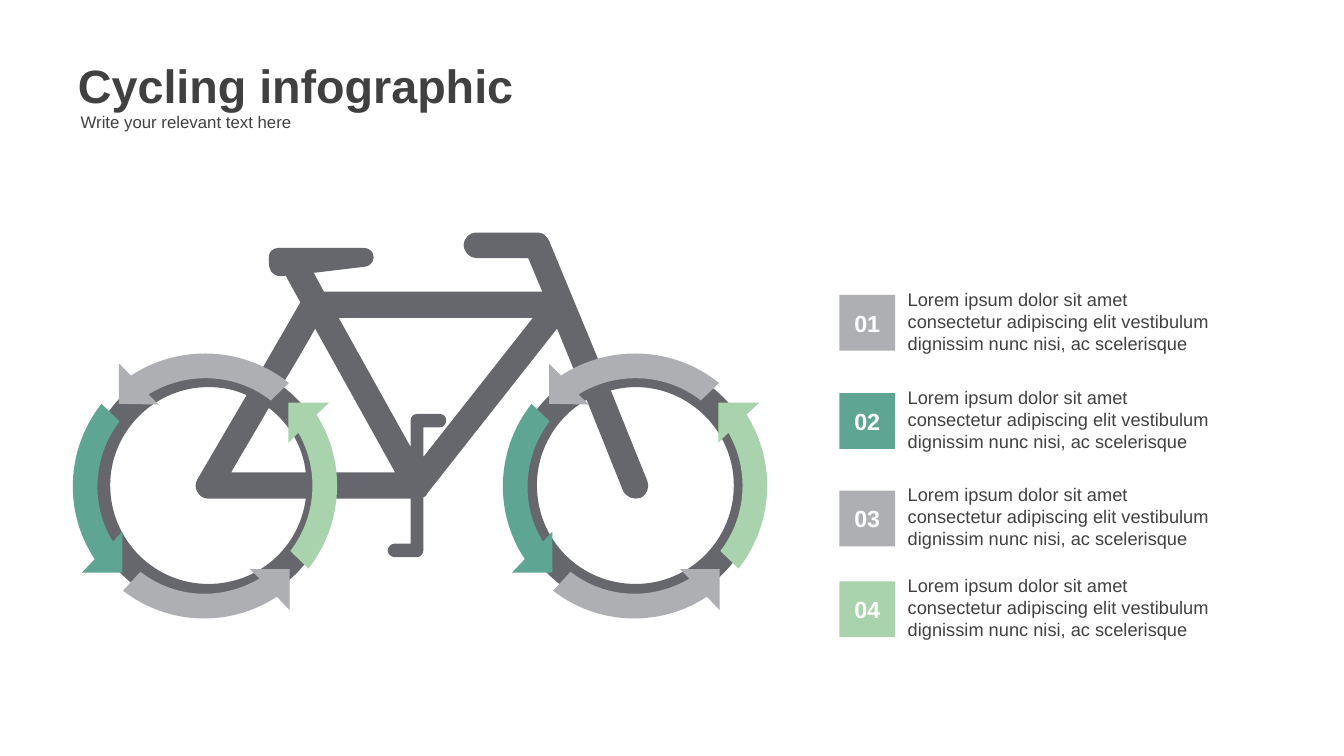
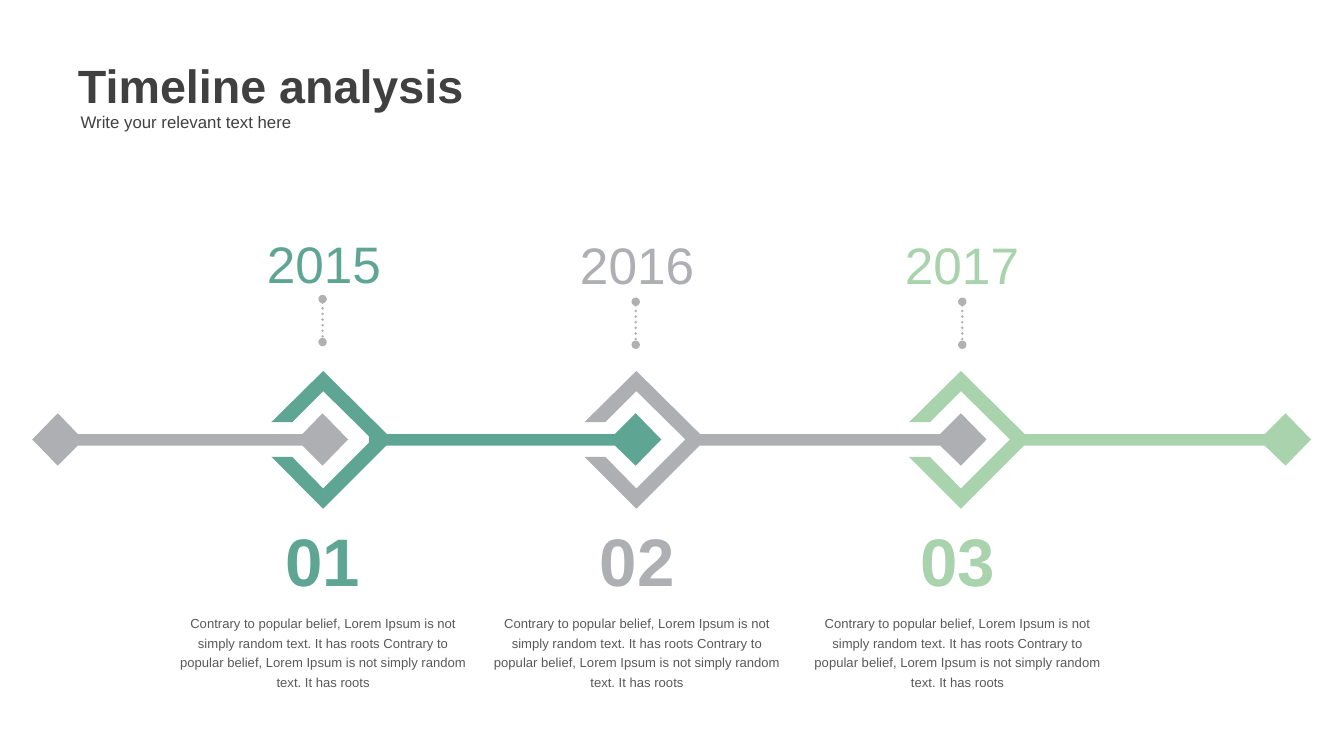
from dataclasses import dataclass

from lxml import etree
from pptx import Presentation
from pptx.dml.color import RGBColor
from pptx.enum.dml import MSO_LINE
from pptx.enum.shapes import MSO_CONNECTOR, MSO_SHAPE
from pptx.enum.text import MSO_ANCHOR, MSO_AUTO_SIZE, PP_ALIGN
from pptx.oxml.ns import qn
from pptx.util import Pt

PX = 9144  # EMU in one px; 100 px make an inch


@dataclass(frozen=True)
class Theme:
    font: str = "Arial"
    ink: str = "404040"
    soft: str = "595959"
    white: str = "FFFFFF"
    frame: str = "66676C"
    gray: str = "AEAFB2"
    teal: str = "5FA593"
    mint: str = "A8D3AC"
    dots: str = "3C3C3C"
    title: float = 50
    subtitle: float = 18
    item: float = 19.5
    badge: float = 25
    number: float = 72
    year: float = 55
    note: float = 14


T = Theme()


def write(sp, text, size, color, bold=False, align=PP_ALIGN.LEFT,
          anchor=MSO_ANCHOR.TOP, margins=(10, 5)):
    """Fill a shape with one paragraph; margins are horizontal and vertical px."""
    tf = sp.text_frame
    tf.text = text
    tf.word_wrap = True
    tf.auto_size = MSO_AUTO_SIZE.NONE
    tf.vertical_anchor = anchor
    tf.margin_left = tf.margin_right = margins[0] * PX
    tf.margin_top = tf.margin_bottom = margins[1] * PX
    p = tf.paragraphs[0]
    p.alignment = align
    p.space_before = Pt(0)
    p.font.name, p.font.size, p.font.bold = T.font, Pt(size), bold
    p.font.color.rgb = RGBColor.from_string(color)
    return p


def draw_outline(s, color, contours, dx=0):
    """Draw closed contours: a pair is a corner, six numbers a Bezier curve."""
    fb = None
    for contour in contours:
        pts = [((step[i] + dx) * PX, step[i + 1] * PX)
               for step in contour for i in range(0, len(step), 2)]
        if fb is None:
            fb = s.shapes.build_freeform(*pts[0], scale=1.0)
        else:
            fb.move_to(*pts[0])
        fb.add_line_segments(pts[1:], close=False)
    sp = fb.convert_to_shape()
    sp.shadow.inherit = False
    sp.fill.solid()
    sp.fill.fore_color.rgb = RGBColor.from_string(color)
    sp.line.fill.background()

    # Join the three points of each curve into one Bezier segment
    segments = iter(list(next(sp._element.iter(qn("a:path")))))
    for contour in contours:
        last = next(segments)
        for step in contour[1:]:
            parts = [next(segments) for _ in range(len(step) // 2)]
            last = parts[0]
            if len(parts) == 3:
                last = etree.Element(qn("a:cubicBezTo"))
                parts[0].addprevious(last)
                for part in parts:
                    last.append(part[0])
                    part.getparent().remove(part)
        last.addnext(etree.Element(qn("a:close")))


prs = Presentation()
prs.slide_width, prs.slide_height = 2000 * PX, 1125 * PX

slides = []
for title, title_width in [("Cycling infographic", 821), ("Timeline analysis", 725)]:
    s = prs.slides.add_slide(prs.slide_layouts[0])
    heading, subtitle = s.placeholders
    for sp, box in [(heading, (106, 79, title_width, 94)), (subtitle, (110, 161, 904, 40))]:
        sp.left, sp.top, sp.width, sp.height = [v * PX for v in box]
    write(heading, title, T.title, T.ink, bold=True, align=PP_ALIGN.JUSTIFY)
    write(subtitle, "Write your relevant text here", T.subtitle, T.ink)
    slides.append(s)
cycling, timeline = slides

# Cycling infographic: the bicycle
silhouette = [
    (946, 537), (927, 537, 910, 540, 894, 544), (817, 358),
    (813, 350, 807, 346, 799, 346), (708, 346), (699, 346, 690, 355, 690, 364),
    (690, 375, 699, 384, 708, 384), (786, 384), (807, 434), (482, 434), (467, 406),
    (542, 397), (550, 397, 556, 390, 556, 383), (556, 375, 550, 369, 542, 369),
    (414, 369), (406, 369, 400, 375, 400, 383), (400, 390, 398, 413, 421, 411),
    (425, 410), (447, 450), (387, 554), (363, 543, 338, 537, 310, 537),
    (208, 537, 126, 620, 126, 722), (126, 824, 208, 908, 310, 908),
    (406, 908, 484, 835, 494, 742), (611, 742), (611, 809), (587, 809),
    (582, 809, 577, 814, 577, 819), (577, 824, 582, 829, 587, 829), (621, 829),
    (626, 829, 630, 824, 630, 819), (630, 740), (634, 738), (636, 734), (829, 489),
    (858, 560), (799, 591, 760, 652, 760, 722), (760, 824, 844, 908, 946, 908),
    (1047, 908, 1131, 824, 1131, 722), (1131, 620, 1047, 537, 946, 537),
]
frame_gap = [(469, 489), (588, 703), (494, 703), (489, 650, 460, 604, 419, 574),
             (440, 540, 458, 509, 469, 489)]
stay_gap = [(455, 703), (344, 703), (354, 685, 377, 647, 400, 607),
            (430, 630, 451, 664, 455, 703)]
rear_gap = [(310, 869), (230, 869, 164, 804, 164, 722), (164, 642, 230, 576, 310, 576),
            (330, 576, 350, 580, 367, 588), (294, 713), (290, 719, 290, 727, 294, 732),
            (297, 739, 303, 742, 310, 742), (455, 742), (446, 814, 385, 869, 310, 869)]
main_gap = [(630, 680), (630, 636), (654, 636), (660, 636, 664, 631, 664, 626),
            (664, 620, 660, 616, 654, 616), (621, 616), (615, 616, 611, 620, 611, 626),
            (611, 665), (504, 473), (793, 473)]
front_gap = [(946, 869), (864, 869, 799, 804, 799, 722), (799, 668, 829, 620, 873, 595),
             (927, 730), (932, 740, 943, 744, 953, 741), (963, 736, 967, 726, 963, 715),
             (909, 581), (921, 578, 933, 576, 946, 576),
             (1026, 576, 1092, 642, 1092, 722), (1092, 804, 1026, 869, 946, 869)]
draw_outline(cycling, T.frame,
             [silhouette, frame_gap, stay_gap, rear_gap, main_gap, front_gap])

wheel_arrows = [
    (T.gray, [(835, 559), (906, 512, 1002, 515, 1070, 570), (1043, 596),
              (991, 555, 917, 552, 861, 587), (876, 602), (817, 601), (817, 541)]),
    (T.mint, [(1069, 659), (1084, 644), (1116, 700, 1111, 769, 1072, 820), (1099, 846),
              (1151, 780, 1156, 688, 1111, 617), (1130, 599), (1069, 599)]),
    (T.gray, [(1071, 908), (1052, 888), (982, 934, 890, 931, 823, 879), (849, 851),
              (901, 891, 970, 894, 1026, 861), (1012, 847), (1071, 847)]),
    (T.teal, [(762, 852), (781, 832), (734, 762, 738, 668, 791, 601), (818, 627),
              (778, 679, 774, 751, 808, 806), (822, 791), (822, 852)]),
]
for dx in (0, -640):
    for color, arrow in wheel_arrows:
        draw_outline(cycling, color, [arrow], dx)

# Cycling infographic: the numbered list
badges = [(439, T.gray), (585, T.teal), (730, T.gray), (865, T.mint)]
for i, (y, color) in enumerate(badges, 1):
    badge = cycling.shapes.add_shape(MSO_SHAPE.RECTANGLE, 1249 * PX, y * PX, 83 * PX, 83 * PX)
    badge.shadow.inherit = False
    badge.fill.solid()
    badge.fill.fore_color.rgb = RGBColor.from_string(color)
    badge.line.fill.background()
    write(badge, f"{i:02}", T.badge, T.white, True, PP_ALIGN.CENTER, MSO_ANCHOR.MIDDLE)
    item = cycling.shapes.add_textbox(1341 * PX, (y - 15) * PX, 484 * PX, 109 * PX)
    write(item, "Lorem ipsum dolor sit amet consectetur adipiscing elit vestibulum "
                "dignissim nunc nisi, ac scelerisque", T.item, T.ink)

# Timeline analysis: the bars
draw_outline(timeline, T.gray, [[
    (480, 693), (518, 654), (480, 615), (450, 646), (116, 646), (86, 615),
    (48, 654), (86, 693), (116, 663), (450, 663)]])
bar = [(397, 615), (366, 646), (0, 646), (0, 663), (366, 663), (397, 693), (435, 654)]
for i, color in enumerate([T.teal, T.gray, T.mint]):
    draw_outline(timeline, color, [bar], 549 + round(483.5 * i))

# Timeline analysis: the milestones
chevron = [(77, 552), (0, 628), (31, 628), (77, 582), (150, 654), (77, 727),
           (31, 680), (0, 680), (77, 757), (180, 654)]
note_text = " ".join(["Contrary to popular belief, Lorem Ipsum is not simply random text. "
                      "It has roots"] * 2)
# year, colour, year box, line x and top, chevron x, number x and width, note x
milestones = [
    ("2015", T.teal, (350, 340, 264), (480, 445), 404, (410, 140), 256),
    ("2016", T.gray, (840, 342, 216), (946, 449), 870, (869, 158), 723),
    ("2017", T.mint, (1335, 342, 193), (1432, 449), 1353, (1359, 132), 1200),
]
for i, (year, color, year_box, stem, chevron_x, number_box, note_x) in enumerate(milestones, 1):
    x, y = stem
    line = timeline.shapes.add_connector(
        MSO_CONNECTOR.STRAIGHT, x * PX, y * PX, x * PX, (y + 64) * PX)
    line.line.width = Pt(3)
    line.line.color.rgb = RGBColor.from_string(T.dots)
    line.line.dash_style = MSO_LINE.ROUND_DOT
    ln = line.line._get_or_add_ln()
    ln.set("cap", "rnd")
    etree.SubElement(ln.find(".//" + qn("a:srgbClr")), qn("a:alpha"), val="40000")
    for end in ("a:headEnd", "a:tailEnd"):
        etree.SubElement(ln, qn(end), type="oval")
    etree.SubElement(ln.getparent(), qn("a:effectLst"))

    x, width = number_box
    number = timeline.shapes.add_textbox(x * PX, 769 * PX, width * PX, 123 * PX)
    write(number, f"{i:02}", T.number, color, True, PP_ALIGN.CENTER, margins=(7, 4))

    draw_outline(timeline, color, [chevron], chevron_x)

    x, y, width = year_box
    label = timeline.shapes.add_textbox(x * PX, y * PX, width * PX, 61 * PX)
    write(label, year, T.year, color, align=PP_ALIGN.CENTER)

    note = timeline.shapes.add_textbox(note_x * PX, 905 * PX, 450 * PX, 154 * PX)
    p = write(note, note_text, T.note, T.soft, align=PP_ALIGN.CENTER)
    p.line_spacing = 1.25

prs.save("out.pptx")
